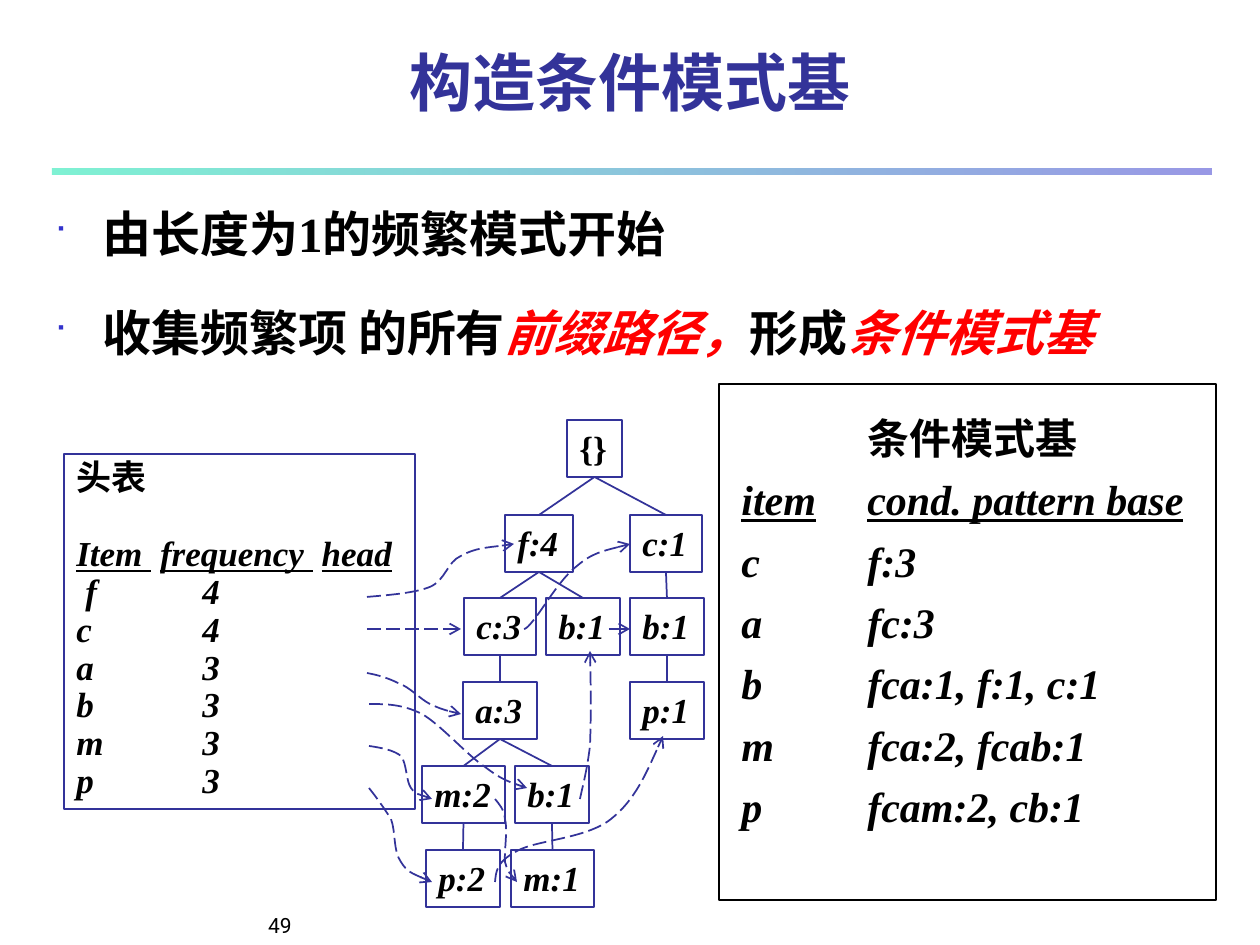
from dataclasses import dataclass

from lxml import etree
from pptx import Presentation
from pptx.dml.color import RGBColor
from pptx.enum.dml import MSO_LINE
from pptx.enum.shapes import MSO_CONNECTOR, MSO_SHAPE
from pptx.enum.text import MSO_ANCHOR, PP_ALIGN
from pptx.oxml.ns import qn
from pptx.util import Emu, Pt

RECTANGLE, STRAIGHT = MSO_SHAPE.RECTANGLE, MSO_CONNECTOR.STRAIGHT
LONG_DASH = MSO_LINE.LONG_DASH
TOP, BOTTOM = MSO_ANCHOR.TOP, MSO_ANCHOR.BOTTOM
LEFT, CENTER, RIGHT = PP_ALIGN.LEFT, PP_ALIGN.CENTER, PP_ALIGN.RIGHT
TOP_SIDE, BOTTOM_SIDE = 0, 2
SCALE = 914400 / 126  # EMU in one px
TAB_WIDTH = 126


@dataclass(frozen=True)
class Theme:
    ink: str = "000000"
    navy: str = "333399"
    red: str = "FF0000"
    bullet: str = "3333CC"
    mint: str = "00E4A8"
    serif: str = "Times New Roman"
    title_font: str = "Cabin"
    number_font: str = "Roboto"
    bullet_font: str = "Wingdings"
    title: int = 36
    body: int = 28
    table: int = 24
    node: int = 20
    number: int = 12


THEME = Theme()


@dataclass(frozen=True)
class Run:
    text: str
    color: str = THEME.ink
    italic: bool = False
    underline: bool = False
    bold: bool = True
    tracking: int = 0  # points


@dataclass(frozen=True)
class Line:
    runs: tuple[Run, ...]
    spacing: float = 1.0
    before: int = 0  # points
    margin: int = 0
    indent: int = 0
    bullet: bool = False
    align: PP_ALIGN = LEFT


@dataclass(frozen=True)
class Node:
    text: str
    left: int
    row: int
    width: int
    italic: bool = True


ROW_TOPS = (420, 515, 598, 682, 766, 850)
NODE_HEIGHT = 57
NODES = {
    "root": Node("{}", 567, 0, 55, False),
    "f4": Node("f:4", 505, 1, 68), "c1": Node("c:1", 630, 1, 72),
    "c3": Node("c:3", 464, 2, 72), "b1_f": Node("b:1", 546, 2, 74),
    "b1_c": Node("b:1", 630, 2, 74), "a3": Node("a:3", 463, 3, 74),
    "p1": Node("p:1", 630, 3, 74), "m2": Node("m:2", 422, 4, 83),
    "b1_a": Node("b:1", 515, 4, 74), "p2": Node("p:2", 426, 5, 74),
    "m1": Node("m:1", 511, 5, 83),
}
EDGES = (("root", "f4"), ("root", "c1"), ("f4", "c3"), ("f4", "b1_f"), ("c1", "b1_c"),
         ("b1_c", "p1"), ("c3", "a3"), ("a3", "m2"), ("a3", "b1_a"), ("m2", "p2"),
         ("b1_a", "m1"))

# Each curve: start, then two control points and an end per section
CURVES = (
    ((367, 597), (391, 595), (415, 593), (430, 587), (446, 580), (447, 562), (461, 556),
     (475, 548), (495, 547), (514, 544)),
    ((524, 629), (525, 629), (527, 629), (536, 617), (544, 607), (561, 578), (577, 566),
     (592, 553), (611, 549), (630, 544)),
    ((367, 673), (378, 675), (388, 678), (398, 683), (410, 687), (420, 699), (430, 704),
     (441, 709), (451, 712), (461, 714)),
    ((369, 704), (386, 704), (402, 704), (422, 714), (441, 725), (467, 755), (485, 767),
     (501, 779), (514, 784), (527, 788)),
    ((580, 799), (583, 785), (587, 771), (590, 746), (591, 722), (591, 687), (590, 651)),
    ((369, 746), (382, 748), (393, 750), (401, 756), (407, 764), (406, 781), (411, 788),
     (416, 795), (425, 796), (432, 799)),
    ((495, 799), (499, 804), (504, 809), (505, 819), (508, 830), (504, 851), (505, 862),
     (508, 872), (512, 877), (517, 882)),
    ((369, 788), (377, 798), (384, 808), (391, 819), (396, 832), (393, 851), (401, 862),
     (407, 872), (420, 877), (432, 882)),
    ((495, 882), (496, 872), (496, 862), (517, 851), (536, 840), (586, 839), (611, 819),
     (635, 800), (649, 767), (663, 736)),
)
STRAIGHT_LINKS = ((367, 461, 629), (609, 630, 629))  # from x, to x, y
HEADER_COUNTS = (("f", 4), ("c", 4), ("a", 3), ("b", 3), ("m", 3), ("p", 3))
PATTERN_BASES = (("c", "f:3"), ("a", "fc:3"), ("b", "fca:1, f:1, c:1"),
                 ("m", "fca:2, fcab:1"), ("p", "fcam:2, cb:1"))


def px(*lengths: int) -> list[Emu]:
    return [Emu(round(length * SCALE)) for length in lengths]


def set_default_tabs(presentation) -> None:
    for root in (presentation._element, presentation.slide_master._element):
        for element in root.iter():
            if element.get("defTabSz"):
                element.set("defTabSz", str(*px(TAB_WIDTH)))


def write(shape, lines: list[Line], size: int, font: str = THEME.serif,
          anchor=TOP, wrap: bool = True) -> None:
    frame = shape.text_frame
    frame.word_wrap, frame.vertical_anchor = wrap, anchor
    for index, line in enumerate(lines):
        paragraph = frame.add_paragraph() if index else frame.paragraphs[0]
        properties = paragraph._p.get_or_add_pPr()
        for name, length in zip(("marL", "indent", "defTabSz"),
                                px(line.margin, line.indent, TAB_WIDTH)):
            properties.set(name, str(length))
        if line.bullet:
            color = etree.SubElement(properties, qn("a:buClr"))
            etree.SubElement(color, qn("a:srgbClr"), val=THEME.bullet)
            etree.SubElement(properties, qn("a:buSzPct"), val="60000")
            etree.SubElement(properties, qn("a:buFont"), typeface=THEME.bullet_font)
            etree.SubElement(properties, qn("a:buChar"), char="■")
        paragraph.alignment, paragraph.line_spacing = line.align, line.spacing
        paragraph.space_before = Pt(line.before)
        for part in line.runs:
            run = paragraph.add_run()
            run.text = part.text
            run.font.name, run.font.size, run.font.bold = font, Pt(size), part.bold
            run.font.italic, run.font.underline = part.italic, part.underline
            run.font.color.rgb = RGBColor.from_string(part.color)
            if part.tracking:
                run._r.get_or_add_rPr().set("spc", str(part.tracking * 100))


def add_text(slide, box: tuple[int, ...], lines: list[Line], size: int, **style) -> None:
    write(slide.shapes.add_textbox(*px(*box)), lines, size, **style)


def style_line(shape, color: str = THEME.navy, width: float = 1, arrow: bool = False) -> None:
    shape.line.color.rgb = RGBColor.from_string(color)
    shape.line.width = Pt(width)
    if arrow:
        shape.line.dash_style = LONG_DASH
        etree.SubElement(shape._element.spPr.find(qn("a:ln")), qn("a:tailEnd"), type="arrow")


def add_frame(slide, box: tuple[int, ...], color: str = THEME.navy, width: float = 1):
    shape = slide.shapes.add_shape(RECTANGLE, *px(*box))
    shape.fill.background()
    style_line(shape, color, width)
    shape.shadow.inherit = False
    return shape


def add_line(slide, ends: tuple[int, ...] = (0, 0, 0, 0), arrow: bool = False):
    connector = slide.shapes.add_connector(STRAIGHT, *px(*ends))
    style_line(connector, arrow=arrow)
    etree.SubElement(connector._element.spPr, qn("a:effectLst"))
    return connector


def add_curve(slide, points: tuple[tuple[int, int], ...]) -> None:
    anchors = points[::3]
    builder = slide.shapes.build_freeform(*anchors[0], scale=SCALE)
    builder.add_line_segments(anchors[1:], close=False)
    shape = builder.convert_to_shape()
    left, top = (min(values) for values in zip(*anchors))
    # Turn each straight section into a cubic one
    for index, section in enumerate(list(shape._element.iter(qn("a:lnTo")))):
        section.tag = qn("a:cubicBezTo")
        section.clear()
        for x, y in points[3 * index + 1:3 * index + 4]:
            etree.SubElement(section, qn("a:pt"), x=str(x - left), y=str(y - top))
    shape.fill.background()
    style_line(shape, arrow=True)
    shape.shadow.inherit = False


def add_rule(slide) -> None:
    rule = slide.shapes.add_shape(RECTANGLE, *px(52, 168, 1160, 7))
    rule.fill.gradient()
    rule.fill.gradient_angle = 0
    for stop, color in zip(rule.fill.gradient_stops, (THEME.mint, THEME.bullet)):
        stop.color.rgb = RGBColor.from_string(color)
    for color in rule._element.spPr.iter(qn("a:srgbClr")):
        etree.SubElement(color, qn("a:alpha"), val="50000")
    rule.line.fill.background()
    rule.shadow.inherit = False


def main() -> None:
    presentation = Presentation()
    presentation.slide_width, presentation.slide_height = px(1260, 945)
    set_default_tabs(presentation)
    slide = presentation.slides.add_slide(presentation.slide_layouts[6])

    # Rule, page number, title and bullets
    add_rule(slide)
    add_text(slide, (42, 891, 262, 53), [Line((Run("49", bold=False),), align=RIGHT)],
             THEME.number, font=THEME.number_font, anchor=BOTTOM)
    add_text(slide, (0, 10, 1260, 116), [Line((Run("构造条件模式基", THEME.navy),), 0.9, align=CENTER)],
             THEME.title, font=THEME.title_font, anchor=BOTTOM)
    bullets = ((Run("由长度为1的频繁模式开始"),),
               (Run("收集频繁项 的所有"), Run("前缀路径，", THEME.red, True),
                Run("形成"), Run("条件模式基", THEME.red, True)))
    add_text(slide, (42, 168, 1194, 243),
             [Line(runs, 1.5, 6 * index, 48, -48, True) for index, runs in enumerate(bullets)],
             THEME.body)

    # Conditional pattern bases
    bases = [Line((Run("条件模式基"),), margin=TAB_WIDTH),
             Line((Run("item\tcond. pattern base", italic=True, underline=True),), 0.8, 12)]
    bases += [Line((Run(f"{item}\t{base}", italic=True),), 0.8, 12) for item, base in PATTERN_BASES]
    add_text(slide, (729, 406, 517, 460), bases, THEME.table)
    add_frame(slide, (719, 384, 497, 516), THEME.ink, 0.75)

    # Tree nodes and edges
    boxes = {}
    for name, node in NODES.items():
        boxes[name] = add_frame(slide, (node.left, ROW_TOPS[node.row], node.width, NODE_HEIGHT))
        write(boxes[name], [Line((Run(node.text, italic=node.italic),))], THEME.node, wrap=False)
    for parent, child in EDGES:
        edge = add_line(slide)
        edge.begin_connect(boxes[parent], BOTTOM_SIDE)
        edge.end_connect(boxes[child], TOP_SIDE)

    # Header table, with widened spaces between its headings
    item, frequency, head = (Run(text, italic=True, underline=True)
                             for text in ("Item", "frequency", "head"))
    gap = Run(" ", italic=True, underline=True, tracking=5)
    header = [Line((Run("头表"),), 0.9), Line((item, gap, frequency, gap, head), 0.9, 22)]
    header += [Line((Run(f"{name}\t{count}", italic=True),), 0.9, indent=0 if index else 9)
               for index, (name, count) in enumerate(HEADER_COUNTS)]
    write(add_frame(slide, (64, 454, 351, 355)), header, THEME.node)

    # Node links
    for points in CURVES:
        add_curve(slide, points)
    for start, end, y in STRAIGHT_LINKS:
        add_line(slide, (start, y, end, y), arrow=True)

    presentation.save("out.pptx")


if __name__ == "__main__":
    main()
